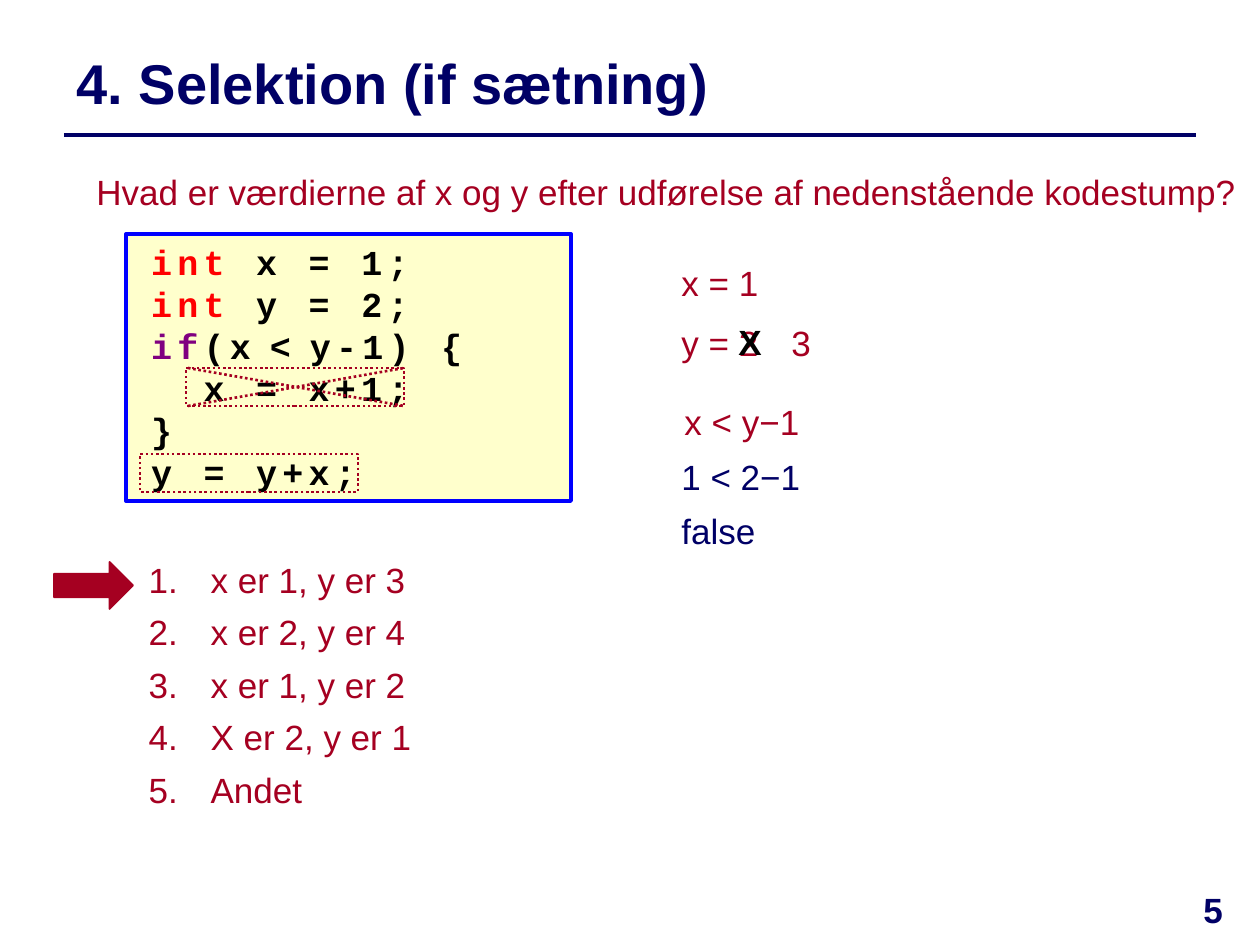
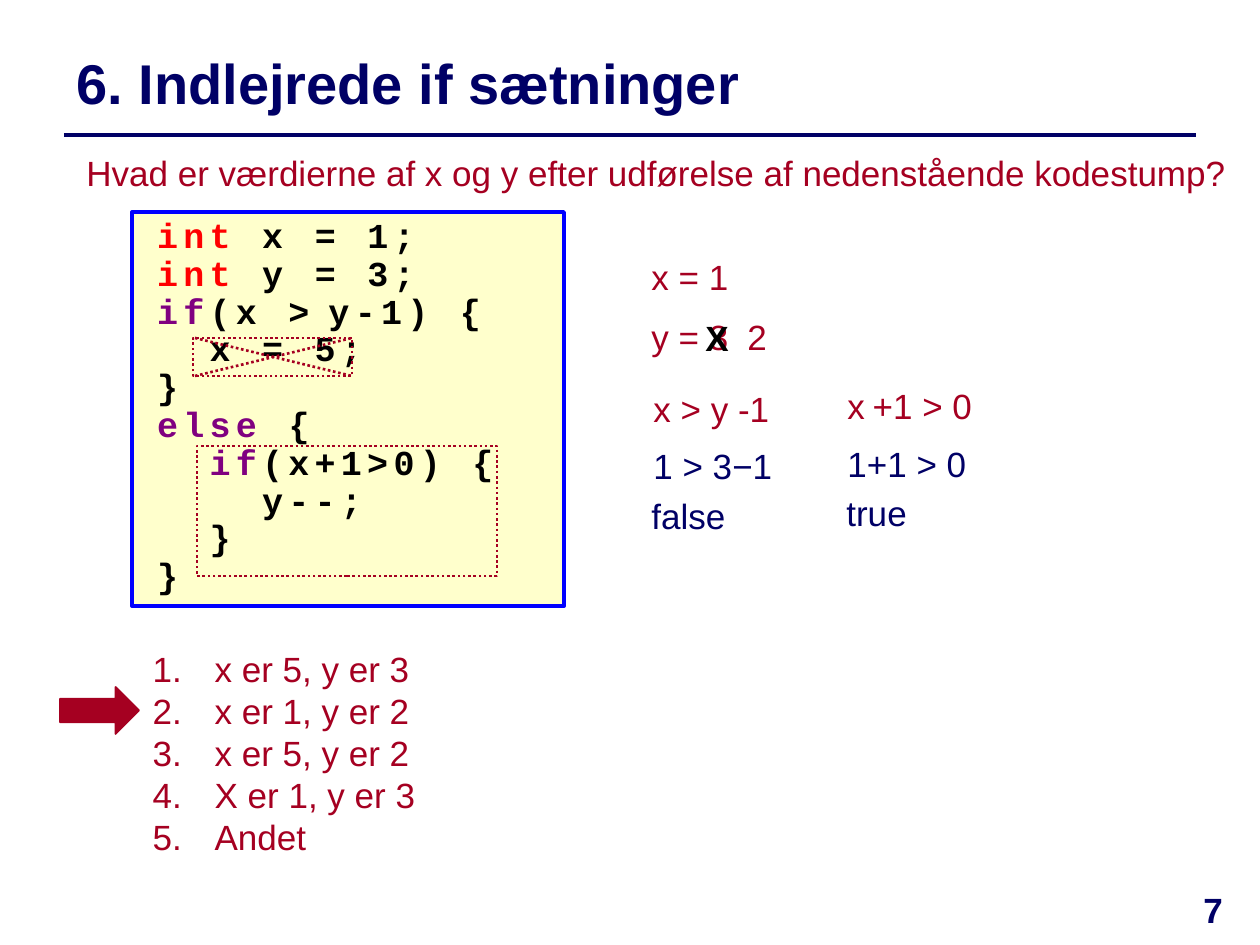
from lxml.etree import SubElement
from pptx import Presentation
from pptx.dml.color import RGBColor
from pptx.enum.dml import MSO_LINE
from pptx.enum.shapes import MSO_CONNECTOR, MSO_SHAPE
from pptx.enum.text import MSO_ANCHOR as ANCHOR, MSO_AUTO_SIZE as AUTO, PP_ALIGN as ALIGN
from pptx.oxml.ns import qn
from pptx.util import Emu, Pt

NAVY = RGBColor(0x00, 0x00, 0x66)
CRIMSON = RGBColor(0xA5, 0x00, 0x21)
CREAM = RGBColor(0xFF, 0xFF, 0xCC)
BLUE = RGBColor(0x00, 0x00, 0xFF)
RED = RGBColor(0xFF, 0x00, 0x00)
PURPLE = RGBColor(0x80, 0x00, 0x80)
BLACK = RGBColor(0x00, 0x00, 0x00)

KEYWORDS = {"int": RED, "if": PURPLE, "else": PURPLE}
QUESTION = "Hvad er værdierne af x og y efter udførelse af nedenstående kodestump?"

SLIDES = [
    {
        "title": "4. Selektion (if sætning)",
        "number": "5",
        "question_at": (84, 164),
        "code_box": (126, 234, 445, 267),
        "code_spacing": 1.0,
        "code": [
            ["int ", "x = 1;"],
            ["int ", "y = 2;"],
            ["if", "(x", " ", "<", " ", "y-1) {"],
            ["  x = x+1;"],
            ["}"],
            ["y = y+x;"],
        ],
        "answers_box": (136, 552, 368, 267),
        "answers_after": 6,
        "answers": ["x er 1, y er 3", "x er 2, y er 4", "x er 1, y er 2",
                    "X er 2, y er 1", "Andet"],
        "arrow_at": (54, 562),
        "executed": (140, 454, 218, 38),
        "skipped": (186, 368, 218, 38),
        "trace": [
            (669, 255, 106, ["x = 1"], CRIMSON),
            (669, 315, 106, ["y = 2"], CRIMSON),
            (779, 315, 49, ["3"], CRIMSON),
            (726, 314, 49, ["X"], BLACK),
            (672, 394, 158, ["x < y−1"], CRIMSON),
            (669, 449, 150, ["1 < 2−1"], NAVY),
            (669, 503, 150, ["false"], NAVY),
        ],
    },
    {
        "title": "6. Indlejrede if sætninger",
        "number": "7",
        "question_at": (74, 145),
        "code_box": (132, 212, 432, 394),
        "code_spacing": 0.9,
        "code": [
            ["int ", "x = 1;"],
            ["int ", "y = 3;"],
            ["if", "(x >", " ", "y-1) {"],
            ["  x = 5;"],
            ["}"],
            ["else ", "{"],
            ["  ", "if", "(x+1>0) {"],
            ["    y--;"],
            ["  }"],
            ["}"],
        ],
        "answers_box": (140, 641, 348, 224),
        "answers_after": 0,
        "answers": ["x er 5, y er 3", "x er 1, y er 2", "x er 5, y er 2",
                    "X er 1, y er 3", "Andet"],
        "arrow_at": (60, 687),
        "executed": (197, 446, 300, 130),
        "skipped": (193, 338, 159, 38),
        "trace": [
            (639, 249, 106, ["x = 1"], CRIMSON),
            (639, 309, 132, ["y = 3"], CRIMSON),
            (735, 309, 79, ["2"], CRIMSON),
            (693, 310, 77, ["X"], BLACK),
            (641, 381, 210, ["x > y -1"], CRIMSON),
            (641, 438, 210, ["1 > 3−1"], NAVY),
            (639, 488, 181, ["false"], NAVY),
            (835, 378, 210, ["x", " ", "+1 > 0"], CRIMSON),
            (835, 436, 210, ["1+1 > 0"], NAVY),
            (834, 485, 181, ["true"], NAVY),
        ],
    },
]


def px(*values):
    return [Emu(round(v * 914400 / 126)) for v in values]


def apply(target, formats):
    for name, value in formats.items():
        setattr(target, name, value)


def write(tf, lines, color, size=20, bold=False, font="Arial", gap=16, para=None, frame=None):
    apply(tf, {"word_wrap": True, "auto_size": AUTO.NONE,
               "vertical_anchor": ANCHOR.TOP, **(frame or {})})
    for i, runs in enumerate(lines):
        p = tf.paragraphs[0] if i == 0 else tf.add_paragraph()
        apply(p, {"alignment": ALIGN.LEFT, "space_before": Pt(0), **(para or {})})
        for text in runs:
            r = p.add_run()
            r.text = text
            apply(r.font, {"name": font, "bold": bold,
                           "size": Pt(gap if text == " " else size)})
            r.font.color.rgb = color


def add_text(s, box, lines, color, **formats):
    sp = s.shapes.add_textbox(*px(*box))
    write(sp.text_frame, lines, color, **formats)


def add_box(shapes, kind, box, color, width, fill=None, dash=None):
    sp = shapes.add_shape(kind, *px(*box))
    sp.shadow.inherit = False
    if fill is None:
        sp.fill.background()
    else:
        sp.fill.solid()
        sp.fill.fore_color.rgb = fill
    sp.line.color.rgb = color
    apply(sp.line, {"width": Pt(width), "dash_style": dash})
    return sp


def add_line(shapes, ends, color, width, dash=None):
    line = shapes.add_connector(MSO_CONNECTOR.STRAIGHT, *px(*ends))
    line.line.color.rgb = color
    apply(line.line, {"width": Pt(width), "dash_style": dash})
    SubElement(line._element.spPr, qn("a:effectLst"))


def add_code(s, box, lines, spacing):
    sp = add_box(s.shapes, MSO_SHAPE.RECTANGLE, box, BLUE, 2.25, CREAM)
    write(sp.text_frame, lines, BLACK, bold=True, font="Courier New", gap=8,
          para={"line_spacing": spacing}, frame={"margin_left": px(25)[0]})
    for p in sp.text_frame.paragraphs:
        for r in p.runs:
            r.font.color.rgb = KEYWORDS.get(r.text.strip(), BLACK)
            r._r.get_or_add_rPr().set("spc", "300")


def add_answers(sp, box, answers, after):
    apply(sp, dict(zip(("left", "top", "width", "height"), px(*box))))
    tf = sp.text_frame
    write(tf, [[a] for a in answers], CRIMSON, para={"space_after": Pt(after)})
    indent = px(62)[0]
    for p in tf.paragraphs:
        pPr = p._p.get_or_add_pPr()
        pPr.set("marL", str(indent))
        pPr.set("indent", str(-indent))
        SubElement(pPr, qn("a:buAutoNum"), type="arabicPeriod")


def add_skipped(s, box):
    x, y, w, h = box
    group = s.shapes.add_group_shape().shapes
    dotted = (CRIMSON, 1.5)
    add_box(group, MSO_SHAPE.RECTANGLE, box, *dotted, dash=MSO_LINE.ROUND_DOT)
    for start, end in ((y + h, y), (y, y + h)):
        add_line(group, (x + 2, start, x + w, end), *dotted, dash=MSO_LINE.ROUND_DOT)


def build(prs, data):
    s = prs.slides.add_slide(prs.slide_layouts[1])
    title, body = s.placeholders
    apply(title, dict(zip(("left", "top", "width", "height"), px(64, 35, 1132, 95))))
    write(title.text_frame, [[data["title"]]], NAVY, size=32, bold=True,
          frame={"vertical_anchor": ANCHOR.MIDDLE})
    add_line(s.shapes, (64, 135, 1196, 135), NAVY, 2)
    add_answers(body, data["answers_box"], data["answers"], data["answers_after"])
    add_code(s, data["code_box"], data["code"], data["code_spacing"])
    add_text(s, (*data["question_at"], 1172, 55), [[QUESTION]], CRIMSON)
    add_box(s.shapes, MSO_SHAPE.RIGHT_ARROW, (*data["arrow_at"], 79, 47), CRIMSON, 1, CRIMSON)
    for x, y, w, runs, color in data["trace"]:
        add_text(s, (x, y, w, 55), [runs], color, bold=color == BLACK)
    add_box(s.shapes, MSO_SHAPE.RECTANGLE, data["executed"], CRIMSON, 1.5,
            dash=MSO_LINE.ROUND_DOT)
    add_text(s, (1166, 882, 94, 63), [[data["number"]]], NAVY, bold=True,
             para={"alignment": ALIGN.CENTER})
    add_skipped(s, data["skipped"])


def main():
    prs = Presentation()
    prs.slide_width, prs.slide_height = px(1260, 945)
    for data in SLIDES:
        build(prs, data)
    prs.save("out.pptx")


if __name__ == "__main__":
    main()
